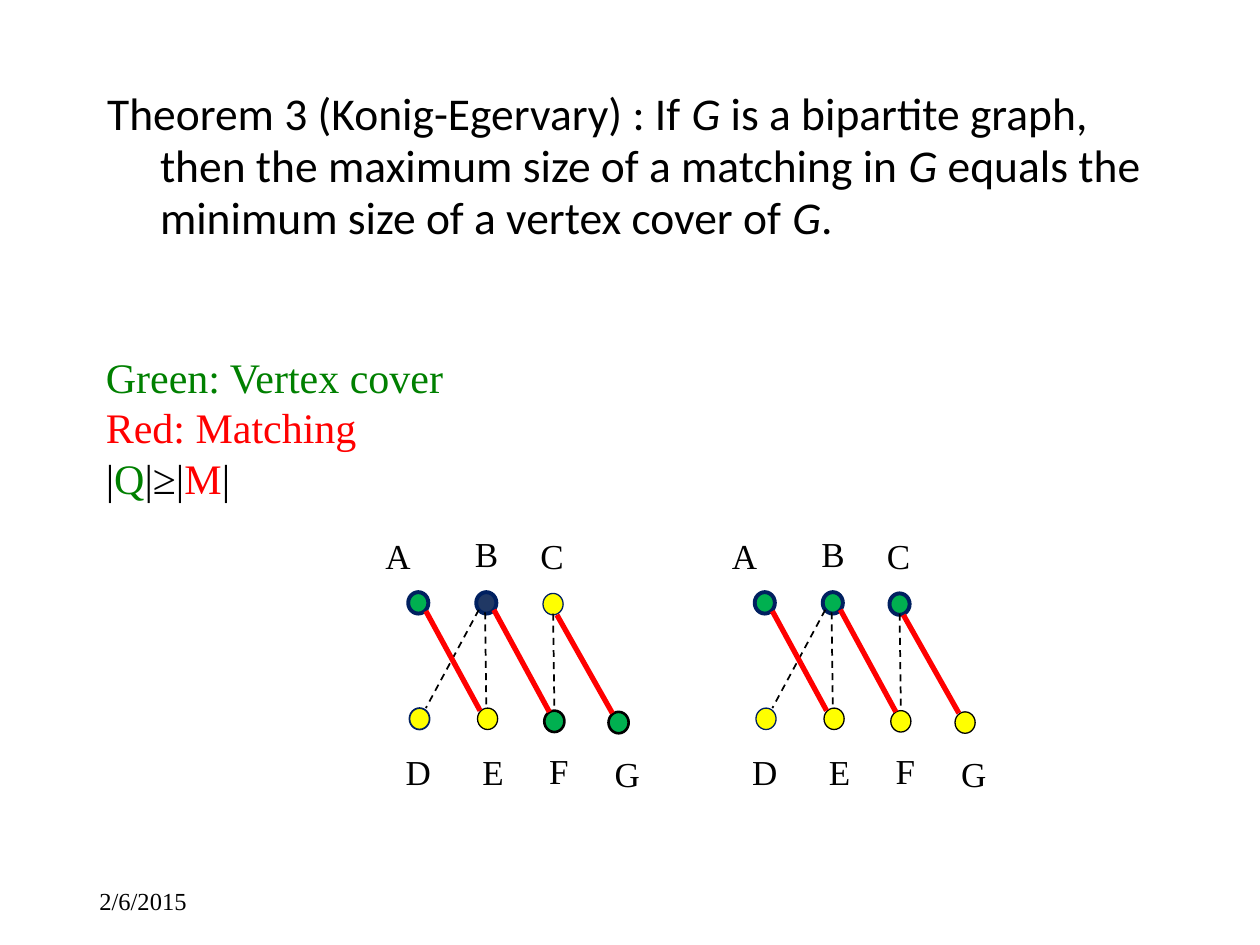
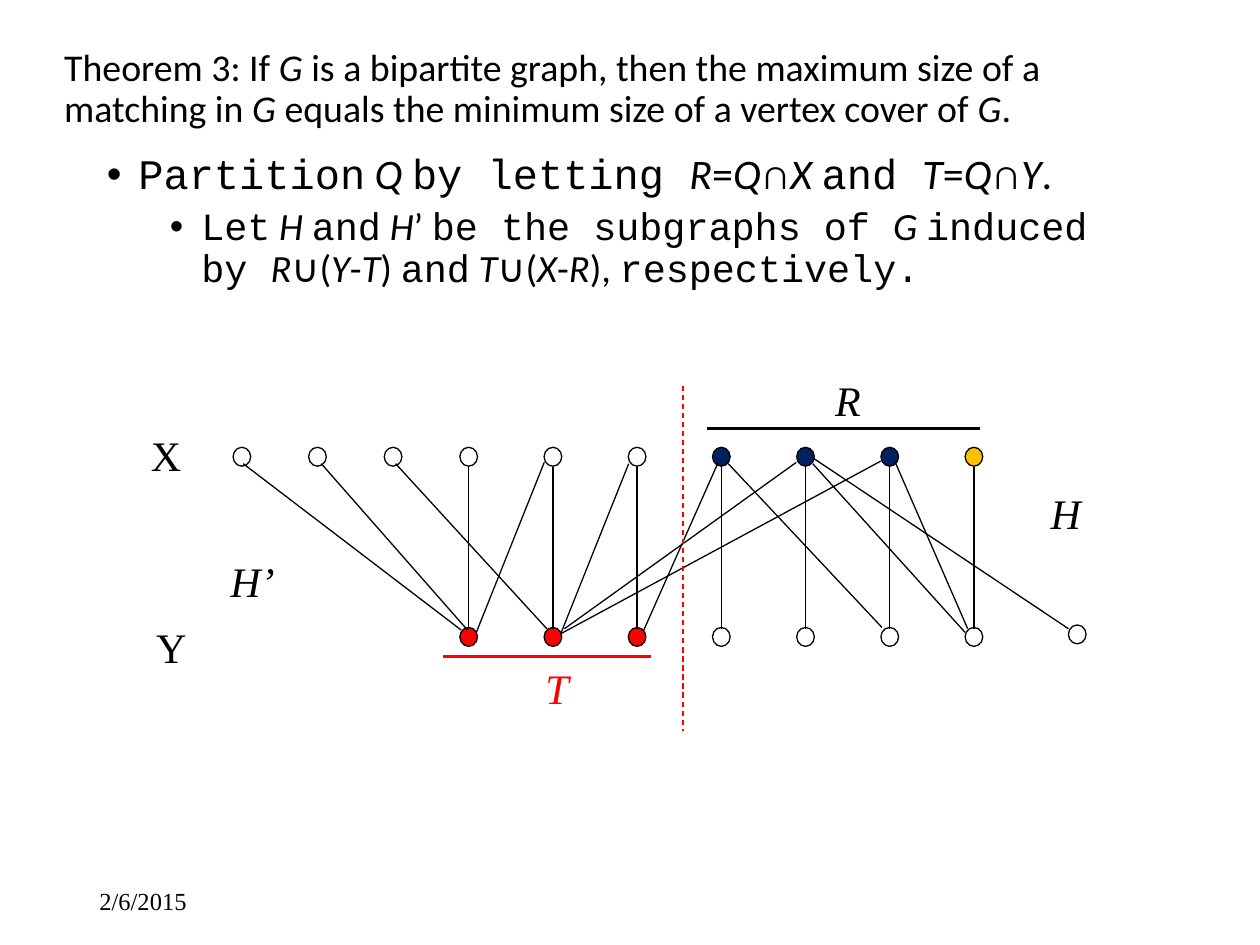
"""Builds two slides on the Konig-Egervary theorem with bipartite graph drawings."""
from lxml import etree
from pptx import Presentation
from pptx import util as u
from pptx.dml.color import RGBColor
from pptx.enum import dml, shapes, text
from pptx.oxml.ns import qn

COLORS = {
    "black": "000000", "navy": "002060", "slate": "203864", "green": "00B050",
    "yellow": "FFFF00", "red": "FF0000", "orange": "FFC000", "cover_text": "008000",
}
SERIF, SANS, MONO = "Times New Roman", "Calibri", "Courier New"
DATE = "2/6/2015"
TITLE_ONLY = 5


def rgb(name):
    return RGBColor.from_string(COLORS[name])


def apply(target, values):
    for key, value in values.items():
        setattr(target, key, value)


def marked(source, size):
    """Turn *italic* and `monospaced` marks into runs."""
    runs = []
    for i, chunk in enumerate(source.split("`")):
        for j, piece in enumerate(chunk.split("*")):
            if piece:
                runs.append((piece, {"size": u.Pt(size), "name": MONO if i % 2 else SANS,
                                     "italic": j % 2 == 1}, "black"))
    return runs


def serif(content, size, color="black", italic=False):
    return content, {"size": u.Pt(size), "name": SERIF, "italic": italic}, color


class Deck:
    """Holds the presentation style and the current slide."""

    def __init__(self):
        self.prs = Presentation()
        apply(self.prs, {"slide_width": u.Inches(10), "slide_height": u.Inches(7.5)})
        self.slide = None

    def new_slide(self, title, size, box, spacing, hanging=0):
        self.slide = self.prs.slides.add_slide(self.prs.slide_layouts[TITLE_ONLY])
        heading = self.slide.shapes.title
        places = map(u.Inches, box)
        apply(heading, dict(zip(("left", "top", "width", "height"), places)))
        apply(heading.text_frame, {"vertical_anchor": text.MSO_ANCHOR.MIDDLE,
                                   "auto_size": text.MSO_AUTO_SIZE.NONE, "word_wrap": True})
        self.paragraph(heading.text_frame.paragraphs[0], marked(title, size),
                       {"line_spacing": spacing, "alignment": text.PP_ALIGN.LEFT},
                       (hanging, -hanging))
        self.text((0.69, 6.95, 2.25, 0.4), [[serif(DATE, 14)]],
                  {"vertical_anchor": text.MSO_ANCHOR.MIDDLE})

    def paragraph(self, para, runs, values=None, indent=None, bullet=None):
        if indent:
            props = para._p.get_or_add_pPr()
            for key, value in zip(("marL", "indent"), indent):
                props.set(key, str(u.Inches(value)))
            if bullet:
                etree.SubElement(props, qn("a:buFont")).set("typeface", "Arial")
                etree.SubElement(props, qn("a:buChar")).set("char", bullet)
        apply(para, values or {})
        for content, font, color in runs:
            run = para.add_run()
            run.text = content
            apply(run.font, font)
            run.font.color.rgb = rgb(color)

    def text(self, box, paragraphs, frame_values=None):
        frame = self.slide.shapes.add_textbox(*map(u.Inches, box)).text_frame
        apply(frame, {"word_wrap": True, **(frame_values or {})})
        for i, runs in enumerate(paragraphs):
            self.paragraph(frame.add_paragraph() if i else frame.paragraphs[0], runs)
        return frame

    def label(self, content, box, size, color="black", italic=False):
        self.text(box, [[serif(content, size, color, italic)]],
                  {"auto_size": text.MSO_AUTO_SIZE.SHAPE_TO_FIT_TEXT})

    def vertex(self, box, fill=None, line="black", width=0.75, parent=None):
        holder = (parent or self.slide).shapes
        oval = holder.add_shape(shapes.MSO_SHAPE.OVAL, *map(u.Inches, box))
        oval.shadow.inherit = False
        if fill:
            oval.fill.solid()
            oval.fill.fore_color.rgb = rgb(fill)
        else:
            oval.fill.background()
        oval.line.color.rgb = rgb(line)
        oval.line.width = u.Pt(width)

    def edge(self, ends, color="black", width=0.75, dashed=False):
        link = self.slide.shapes.add_connector(shapes.MSO_CONNECTOR.STRAIGHT,
                                               *map(u.Inches, ends))
        link.line.color.rgb = rgb(color)
        link.line.width = u.Pt(width)
        if dashed:
            link.line.dash_style = dml.MSO_LINE.DASH
        etree.SubElement(link._element.spPr, qn("a:effectLst"))


VERTICES = {
    "A": (3.24, 4.7, 2.96, 4.19), "B": (3.78, 4.7, 3.67, 4.18), "C": (4.31, 4.71, 4.19, 4.19),
    "D": (3.25, 5.62, 3.12, 5.91), "E": (3.79, 5.62, 3.73, 5.91),
    "F": (4.32, 5.64, 4.26, 5.9), "G": (4.83, 5.65, 4.78, 5.92),
}
MATCHING = [(4.42, 4.88, 4.86, 5.66), (3.38, 4.85, 3.81, 5.64), (3.92, 4.84, 4.36, 5.65)]
UNMATCHED = [(3.8, 4.84, 3.38, 5.62), (4.39, 4.87, 4.4, 5.64), (3.85, 4.86, 3.86, 5.63)]
COVER_TOP = ("green", "navy", 2.25)
COVER_BOTTOM = ("green", "black", 1.5)
PLAIN = ("yellow", "black", 0.75)
PLAIN_NAVY = ("yellow", "navy", 0.75)
SMALL_COVER = [COVER_TOP, ("slate", "navy", 2.25), PLAIN_NAVY, ("yellow", "navy", 1),
               PLAIN, COVER_BOTTOM, COVER_BOTTOM]
TOP_COVER = [COVER_TOP] * 3 + [PLAIN_NAVY] + [PLAIN] * 3


def matching_graph(deck, shift, looks):
    for (x, y, _, _), look in zip(VERTICES.values(), looks):
        deck.vertex((x + shift, y, 0.16, 0.17), *look)
    for edges, style in ((UNMATCHED, ("black", 1, True)), (MATCHING, ("red", 3))):
        for x1, y1, x2, y2 in edges:
            deck.edge((x1 + shift, y1, x2 + shift, y2), *style)
    for name, (_, _, x, y) in VERTICES.items():
        deck.label(name, (x + shift, y, 0.39 if name == "D" else 0.36, 0.43), 20)


def theorem_slide(deck):
    deck.new_slide("Theorem 3 (Konig-Egervary) : If *G* is a bipartite graph, then the maximum "
                   "size of a matching in *G* equals the minimum size of a vertex cover of *G*.",
                   26, (0.75, 0.56, 8.5, 1.53), 0.95, 0.42)
    for shift, looks in ((0, SMALL_COVER), (2.75, TOP_COVER)):
        matching_graph(deck, shift, looks)
    sizes = [("|", "black"), ("Q", "cover_text"), ("|≥|", "black"), ("M", "red"), ("|", "black")]
    deck.text((0.84, 2.79, 2.72, 1.21),
              [[serif("Green: Vertex cover", 24, "cover_text")],
               [serif("Red: Matching", 24, "red")],
               [serif(part, 24, color) for part, color in sizes]],
              dict.fromkeys(("margin_left", "margin_top", "margin_right", "margin_bottom"), 0))


X_ROW, Y_ROW = 3.55, 4.98
COLUMNS = [3.65 + i * 4.01 / 6 for i in range(7)]
X_FILLS = [None] * 3 + ["navy"] * 3 + ["orange"]
Y_FILLS = ["red"] * 3 + [None] * 4
SLANTED = [
    (1.93, 3.68, 3.66, 5), (2.55, 3.68, 3.71, 5), (3.14, 3.68, 4.34, 4.99),
    (4.32, 3.67, 3.78, 5.02), (4.99, 3.68, 4.45, 5.03), (5.7, 3.67, 5.11, 5),
    (7.11, 3.68, 7.68, 4.99), (6.45, 3.68, 7.66, 5.02), (5.78, 3.68, 7, 4.98),
    (6.46, 3.64, 8.48, 4.99), (4.45, 5.03, 6.99, 3.66), (4.48, 4.99, 6.32, 3.67),
]
SET_LABELS = [
    ("T", 4.23, 5.21, "red", True), ("R", 6.53, 2.92, "black", True),
    ("H", 8.24, 3.82, "black", True), ("H’", 1.73, 4.36, "black", True),
    ("X", 1.1, 3.36, "black", False), ("Y", 1.14, 4.88, "black", False),
]


def partition_slide(deck):
    deck.new_slide("Theorem 3: If *G* is a bipartite graph, then the maximum size of a matching "
                   "in *G* equals the minimum size of a vertex cover of *G*.",
                   21.6, (0.41, 0.33, 9.14, 0.77), 0.9)
    steps = deck.text((0.75, 1.17, 8.5, 1.8), [])
    deck.paragraph(steps.paragraphs[0],
                   marked("`Partition` *Q* `by letting `*R*=*Q*∩*X* `and `*T*=*Q*∩*Y*.", 24),
                   {"line_spacing": 0.9}, (0.25, -0.25), "•")
    deck.paragraph(steps.add_paragraph(),
                   marked("`Let` *H* `and` *H*’ `be the subgraphs of `*G* `induced by `"
                          "*R*∪(*Y*-*T*) `and` *T*∪(*X*-*R*), `respectively.`", 22),
                   {"level": 1, "line_spacing": 0.9, "space_before": u.Pt(5)},
                   (0.75, -0.25), "•")
    for x, x_fill, y_fill in zip(COLUMNS, X_FILLS, Y_FILLS):
        pair = deck.slide.shapes.add_group_shape()
        deck.vertex((x, X_ROW, 0.14, 0.15), x_fill, parent=pair)
        deck.vertex((x, Y_ROW, 0.14, 0.15), y_fill, parent=pair)
        deck.edge((x + 0.07, 3.71, x + 0.07, 4.99))
    for x, y in ((1.85, X_ROW), (2.45, X_ROW), (3.05, X_ROW), (8.48, 4.96)):
        deck.vertex((x, y, 0.14, 0.15))
    for ends in SLANTED:
        deck.edge(ends)
    deck.edge((5.42, 3.06, 5.42, 5.8), "red", dashed=True)
    deck.edge((3.52, 5.21, 5.17, 5.21), "red", 1.5)
    deck.edge((5.61, 3.4, 7.78, 3.4), "black", 1.5)
    for name, x, y, color, italic in SET_LABELS:
        deck.label(name, (x, y, 0.56, 0.5), 24, color, italic)


def main():
    deck = Deck()
    theorem_slide(deck)
    partition_slide(deck)
    deck.prs.save("out.pptx")


if __name__ == "__main__":
    main()
